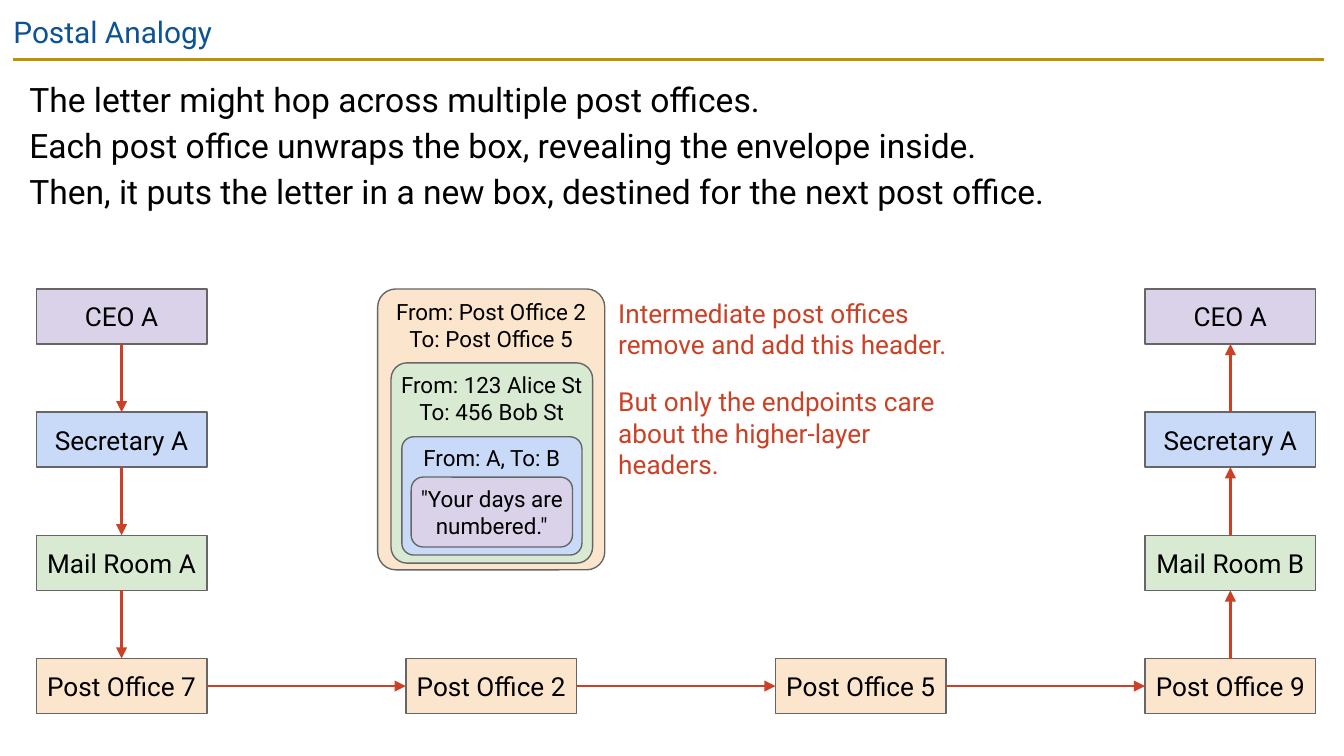
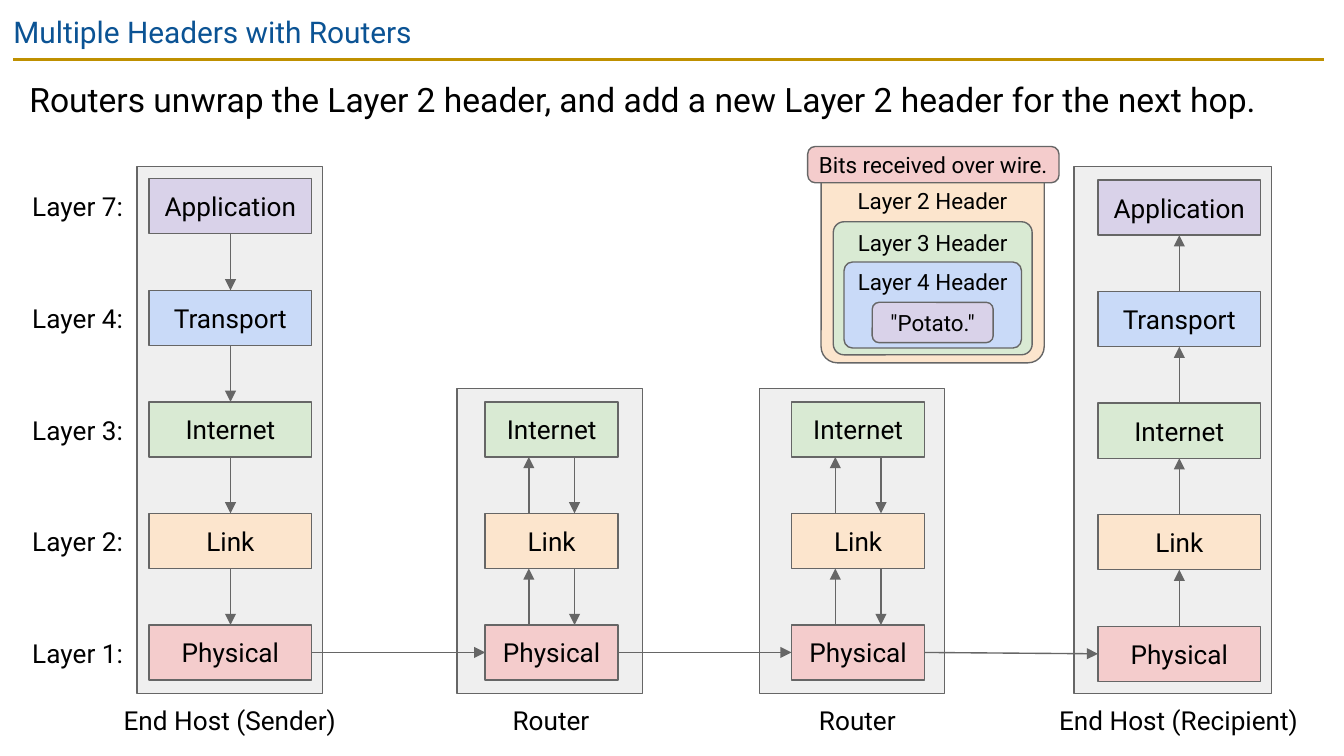
import pptx
import pptx.util
import pptx.dml.color
import pptx.enum.shapes
import pptx.enum.text
import pptx.oxml.ns
import lxml.etree

Inches = pptx.util.Inches
SHAPE = pptx.enum.shapes.MSO_SHAPE
ALIGN = pptx.enum.text.PP_ALIGN
ANCHOR = pptx.enum.text.MSO_ANCHOR
FIT = pptx.enum.text.MSO_AUTO_SIZE

COLORS = {
    "black": "000000", "title": "0B5394", "rule": "BF9000", "red": "CC4125",
    "line": "666666", "frame": "EFEFEF", "purple": "D9D2E9", "blue": "C9DAF8",
    "green": "D9EAD3", "orange": "FCE5CD", "pink": "F4CCCC",
}
RGB = {name: pptx.dml.color.RGBColor.from_string(code) for name, code in COLORS.items()}
TOP, LEFT, BOTTOM, RIGHT = range(4)  # connection sites of a rectangle


def put(slide, at, text="", fill=None, kind=SHAPE.RECTANGLE, corner=None, size=14, color="black",
        inset=0.1, top_inset=None, align=ALIGN.CENTER, anchor=ANCHOR.MIDDLE, fit=FIT.NONE,
        spacing=None, before=None, holder=None):
    """Place text in a filled shape, in a text box when fill is None, or in a given placeholder."""
    area = [Inches(length) for length in at]
    if holder is not None:
        item = holder
        item.left, item.top, item.width, item.height = area
    elif fill is None:
        item = slide.shapes.add_textbox(*area)
    else:
        item = slide.shapes.add_shape(kind, *area)
        item.shadow.inherit = False
        item.fill.solid()
        item.fill.fore_color.rgb = RGB[fill]
        item.line.color.rgb = RGB["line"]
        item.line.width = pptx.util.Pt(0.75)
        if corner is not None:
            item.adjustments[0] = corner
    if not text:
        return item
    margin = Inches(inset)
    frame_format = {
        "word_wrap": True, "auto_size": fit, "vertical_anchor": anchor,
        "margin_left": margin, "margin_right": margin, "margin_bottom": margin,
        "margin_top": margin if top_inset is None else Inches(top_inset),
    }
    for name, value in frame_format.items():
        setattr(item.text_frame, name, value)
    lines = [text] if isinstance(text, str) else text
    for number, line in enumerate(lines):
        paragraph = item.text_frame.add_paragraph() if number else item.text_frame.paragraphs[0]
        paragraph.text = line
        for name, value in {"alignment": align, "line_spacing": spacing, "space_before": before}.items():
            setattr(paragraph, name, value)
        for run in paragraph.runs:
            for name, value in {"name": "Roboto", "size": pptx.util.Pt(size)}.items():
                setattr(run.font, name, value)
            run.font.color.rgb = RGB[color]
    return item


def connect(slide, source, target, sites=(BOTTOM, TOP), color="line", width=0.75, shift=0):
    """Draw an arrow between two boxes; a shifted one runs vertically beside their centres."""
    line = slide.shapes.add_connector(pptx.enum.shapes.MSO_CONNECTOR.STRAIGHT, 0, 0, 0, 0)
    if shift:
        line.begin_x = line.end_x = source.left + source.width // 2 + Inches(shift)
        line.begin_y = source.top + (source.height if sites[0] == BOTTOM else 0)
        line.end_y = target.top + (target.height if sites[1] == BOTTOM else 0)
    else:
        line.begin_connect(source, sites[0])
        line.end_connect(target, sites[1])
    line.line.color.rgb = RGB[color]
    line.line.width = pptx.util.Pt(width)
    outline = line.element.spPr.find(pptx.oxml.ns.qn("a:ln"))
    lxml.etree.SubElement(outline, pptx.oxml.ns.qn("a:tailEnd"), type="triangle")
    lxml.etree.SubElement(line.element.spPr, pptx.oxml.ns.qn("a:effectLst"))


# Widescreen deck, 16 to 9
deck = pptx.Presentation()
deck.slide_width = Inches(10)
deck.slide_height = deck.slide_width * 9 // 16
layout = deck.slide_layouts[5]

# Titles and opening text
openings = [
    ("Postal Analogy", 1.25,
     "The letter might hop across multiple post offices.\n"
     "Each post office unwraps the box, revealing the envelope inside.\n"
     "Then, it puts the letter in a new box, destined for the next post office."),
    ("Multiple Headers with Routers", 0.58,
     "Routers unwrap the Layer 2 header, and add a new Layer 2 header for the next hop."),
]
for title, height, opening in openings:
    slide = deck.slides.add_slide(layout)
    put(slide, (0, 0, 10, 0.43), title, size=16, color="title", align=ALIGN.LEFT,
        anchor=ANCHOR.TOP, holder=slide.shapes.title)
    put(slide, (0.12, 0.44, 9.74, height), opening, size=18, align=ALIGN.LEFT,
        anchor=ANCHOR.TOP, spacing=1.15, before=pptx.util.Pt(6))
postal, routers = deck.slides

# Gold rule under the title, kept on the shared layout
rule = postal.shapes.add_connector(pptx.enum.shapes.MSO_CONNECTOR.STRAIGHT,
                                   Inches(0.1), Inches(0.44), Inches(9.85), Inches(0.44))
rule.line.color.rgb = RGB["rule"]
rule.line.width = pptx.util.Pt(1.5)
lxml.etree.SubElement(rule.element.spPr, pptx.oxml.ns.qn("a:effectLst"))
layout.shapes.element.append(rule.element)

# Slide 1: the row of post offices
office_left, office_gap, office_top, ceo_top = 0.27, 2.75, 4.9, 2.15
offices = [put(postal, (office_left + i * office_gap, office_top, 1.27, 0.41),
               f"Post Office {number}", "orange", inset=0)
           for i, number in enumerate((7, 2, 5, 9))]
for here, following in zip(offices, offices[1:]):
    connect(postal, here, following, (RIGHT, LEFT), "red", 1.5)

# Slide 1: the people above the first and last post office
floor_gap = (office_top - ceo_top) / 3
for column, mail_room in ((0, "Mail Room A"), (3, "Mail Room B")):
    staff = [put(postal, (office_left + column * office_gap, ceo_top + i * floor_gap, 1.27, 0.41),
                 name, fill, inset=inset)
             for i, (name, fill, inset) in enumerate((("CEO A", "purple", 0.1),
                                                      ("Secretary A", "blue", 0.1),
                                                      (mail_room, "green", 0)))]
    chain = staff + [offices[column]]
    for upper, lower in zip(chain, chain[1:]):
        if column == 0:
            connect(postal, upper, lower, color="red", width=1.5)
        else:
            connect(postal, lower, upper, (TOP, BOTTOM), "red", 1.5)

# Nested wrappers on both slides, from the outside in
wrappers = [
    (postal, (2.81, 2.15, 1.69, 2.09), ["From: Post Office 2", "To: Post Office 5"],
     "orange", 0.08, 0.03, 0.03, ANCHOR.TOP),
    (postal, (2.91, 2.7, 1.5, 1.49), ["From: 123 Alice St", "To: 456 Bob St"],
     "green", 0.08, 0.03, 0.03, ANCHOR.TOP),
    (postal, (2.99, 3.25, 1.34, 0.88), "From: A, To: B", "blue", 0.1, 0.03, 0.03, ANCHOR.TOP),
    (postal, (3.06, 3.55, 1.2, 0.52), '"Your days are numbered."',
     "purple", 0.17, 0, 0, ANCHOR.MIDDLE),
    (routers, (6.11, 1.2, 1.66, 1.5), "Layer 2 Header", "orange", 0.08, 0.03, 0.16, ANCHOR.TOP),
    (routers, (6.2, 1.65, 1.48, 0.99), "Layer 3 Header", "green", 0.08, 0.03, 0.03, ANCHOR.TOP),
    (routers, (6.28, 1.95, 1.32, 0.64), "Layer 4 Header", "blue", 0.1, 0.03, 0.03, ANCHOR.TOP),
    (routers, (6.49, 2.25, 0.9, 0.3), '"Potato."', "purple", 0.17, 0.1, 0.1, ANCHOR.MIDDLE),
    (routers, (6.01, 1.09, 1.87, 0.27), "Bits received over wire.",
     "pink", 0.21, 0.03, 0.03, ANCHOR.MIDDLE),
]
for slide, at, text, fill, corner, inset, top_inset, anchor in wrappers:
    put(slide, at, text, fill, SHAPE.ROUNDED_RECTANGLE, corner, size=12,
        inset=inset, top_inset=top_inset, anchor=anchor)

# Slide 1: remarks beside the wrappers
for top, width, remark in (
        (2.18, 2.57, "Intermediate post offices remove and add this header."),
        (2.84, 2.72, "But only the endpoints care about the higher-layer headers.")):
    put(postal, (4.57, top, width, 0.53), remark, color="red", inset=0.03, align=ALIGN.LEFT,
        anchor=ANCHOR.TOP, fit=FIT.SHAPE_TO_FIT_TEXT)

# Slide 2: layer numbers
layers = [(7, "Application", "purple"), (4, "Transport", "blue"), (3, "Internet", "green"),
          (2, "Link", "orange"), (1, "Physical", "pink")]
layer_gap = 0.83
for i, (number, _, _) in enumerate(layers):
    put(routers, (0.21, 1.39 + i * layer_gap, 0.81, 0.3), f"Layer {number}:", inset=0.03,
        align=ALIGN.LEFT, anchor=ANCHOR.TOP, fit=FIT.SHAPE_TO_FIT_TEXT)

# Slide 2: machines, each a frame, a stack of layers, its arrows and a caption
machines = [
    # caption, caption left and width, frame left, top and width, stack left, top and width,
    # first layer, arrow directions with their shift
    ("End Host (Sender)", 0.8, 1.82, (1.02, 1.24, 1.38), (1.11, 1.33, 1.21), 0, [("down", 0)]),
    ("Router", 3.65, 0.9, (3.4, 2.89, 1.38), (3.61, 1.33, 0.99), 2, [("up", -0.17), ("down", 0.17)]),
    ("Router", 5.93, 0.9, (5.65, 2.89, 1.38), (5.89, 1.33, 0.99), 2, [("up", -0.17), ("down", 0.17)]),
    ("End Host (Recipient)", 7.8, 1.94, (7.99, 1.24, 1.47), (8.17, 1.34, 1.21), 0, [("up", 0)]),
]
frame_bottom = 5.16
physical = []
for caption, caption_left, caption_width, frame, stack, first, directions in machines:
    frame_left, frame_top, frame_width = frame
    stack_left, stack_top, stack_width = stack
    put(routers, (frame_left, frame_top, frame_width, frame_bottom - frame_top), fill="frame")
    boxes = [put(routers, (stack_left, stack_top + i * layer_gap, stack_width, 0.41), name, fill)
             for i, (_, name, fill) in enumerate(layers) if i >= first]
    for upper, lower in zip(boxes, boxes[1:]):
        for direction, shift in directions:
            if direction == "down":
                connect(routers, upper, lower, shift=shift)
            else:
                connect(routers, lower, upper, (TOP, BOTTOM), shift=shift)
    put(routers, (caption_left, 5.21, caption_width, 0.3), caption, inset=0.03,
        anchor=ANCHOR.TOP, fit=FIT.SHAPE_TO_FIT_TEXT)
    physical.append(boxes[-1])

# Slide 2: hops over the wire
for here, following in zip(physical, physical[1:]):
    connect(routers, here, following, (RIGHT, LEFT))

deck.save("out.pptx")
